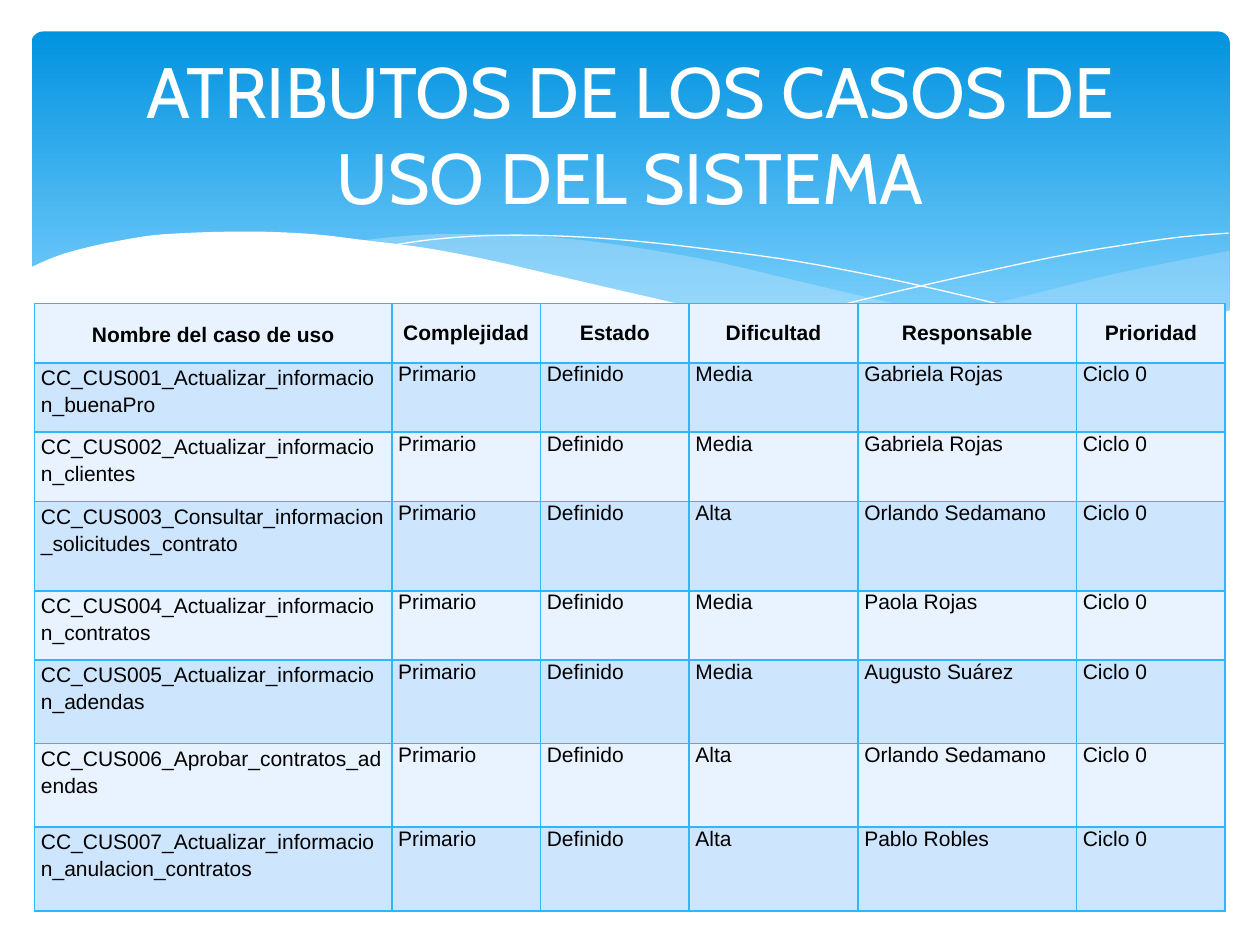
from dataclasses import dataclass

from lxml.etree import SubElement
from pptx import Presentation
from pptx.dml.color import RGBColor
from pptx.enum.shapes import MSO_SHAPE
from pptx.enum.text import MSO_ANCHOR, MSO_AUTO_SIZE, PP_ALIGN
from pptx.oxml.ns import qn
from pptx.util import Inches, Pt


@dataclass(frozen=True)
class Theme:
    sky_top: str = "0293E0"
    sky_bottom: str = "83D3FE"
    mist: str = "C6E7FC"
    white: str = "FFFFFF"
    black: str = "000000"
    border: str = "31B6FD"
    bands: tuple = ("E8F3FF", "CEE5FE")
    title_font: str = "Cabin"
    table_font: str = "Arial"
    title_size: float = 40.7
    table_size: float = 12


def smooth(points, steps=5):
    """Catmull-Rom curve through the points."""
    padded = [points[0], *points, points[-1]]
    curve = [points[0]]
    for a, b, c, d in zip(padded, padded[1:], padded[2:], padded[3:]):
        for step in range(1, steps + 1):
            t = step / steps
            curve.append(tuple(
                (2 * q + (r - p) * t + (2 * p - 5 * q + 4 * r - s) * t**2
                 + (3 * q - p - 3 * r + s) * t**3) / 2
                for p, q, r, s in zip(a, b, c, d)))
    return curve


class SlideBuilder:
    """Places elements on a grid of 100 columns by 75 rows."""

    def __init__(self, deck, theme):
        self.theme = theme
        self.cell = deck.slide_width / 100
        self.slide = deck.slides.add_slide(deck.slide_layouts[5])

    def grid(self, *lengths):
        return [round(length * self.cell) for length in lengths]

    def style_text(self, paragraph, font, size, color, bold=False):
        for run in paragraph.runs:
            run.font.name, run.font.size, run.font.bold = font, Pt(size), bold
            run.font.color.rgb = RGBColor.from_string(color)

    def sky(self, box, radius):
        panel = self.slide.shapes.add_shape(MSO_SHAPE.ROUNDED_RECTANGLE, *self.grid(*box))
        panel.adjustments[0] = radius
        panel.shadow.inherit = False
        panel.line.fill.background()
        panel.fill.gradient()
        panel.fill.gradient_angle = 270
        stops = panel.fill.gradient_stops
        for stop, color, position in zip(
                stops, (self.theme.sky_top, self.theme.sky_bottom), (0, 0.9)):
            stop.color.rgb = RGBColor.from_string(color)
            stop.position = position

    def outline(self, points, closed):
        start, *rest = [self.grid(*point) for point in points]
        builder = self.slide.shapes.build_freeform(*start)
        builder.add_line_segments(rest, close=closed)
        shape = builder.convert_to_shape()
        shape.shadow.inherit = False
        return shape

    def wave(self, points, color, opacity=100):
        wave = self.outline(points, True)
        wave.line.fill.background()
        wave.fill.solid()
        wave.fill.fore_color.rgb = RGBColor.from_string(color)
        if opacity < 100:
            color_node = wave.element.spPr.find(qn("a:solidFill"))[0]
            SubElement(color_node, qn("a:alpha"), val=str(opacity * 1000))

    def ripple(self, points):
        ripple = self.outline(smooth(points), False)
        ripple.fill.background()
        ripple.line.color.rgb = RGBColor.from_string(self.theme.white)
        ripple.line.width = 0

    def title(self, text, box):
        title = self.slide.shapes.title
        title.left, title.top, title.width, title.height = self.grid(*box)
        title.element.getparent().append(title.element)  # in front of the waves
        frame = title.text_frame
        frame.text = text
        frame.word_wrap = True
        frame.auto_size = MSO_AUTO_SIZE.NONE
        frame.vertical_anchor = MSO_ANCHOR.MIDDLE
        frame.paragraphs[0].alignment = PP_ALIGN.CENTER
        self.style_text(frame.paragraphs[0], self.theme.title_font,
                        self.theme.title_size, self.theme.white)

    def borders(self, cell):
        properties = cell._tc.get_or_add_tcPr()
        for side in ("a:lnL", "a:lnR", "a:lnT", "a:lnB"):
            line = SubElement(properties, qn(side), w=str(Pt(1)))
            SubElement(SubElement(line, qn("a:solidFill")), qn("a:srgbClr"),
                       val=self.theme.border)

    def table(self, rows, left, top, widths, heights):
        table = self.slide.shapes.add_table(
            len(rows), len(widths),
            *self.grid(left, top, sum(widths), sum(heights))).table
        table.first_row = table.horz_banding = False
        for column, width in zip(table.columns, self.grid(*widths)):
            column.width = width
        for row, height in zip(table.rows, self.grid(*heights)):
            row.height = height
        for r, values in enumerate(rows):
            for c, value in enumerate(values):
                self.table_cell(table.cell(r, c), value, r, c)

    def table_cell(self, cell, value, row, column):
        header = row == 0
        cell.margin_left = cell.margin_right = Inches(0.05)
        cell.margin_top = cell.margin_bottom = 0
        cell.vertical_anchor = MSO_ANCHOR.MIDDLE if header else MSO_ANCHOR.TOP
        self.borders(cell)
        cell.fill.solid()
        cell.fill.fore_color.rgb = RGBColor.from_string(self.theme.bands[row % 2])
        cell.text_frame.text = value
        paragraph = cell.text_frame.paragraphs[0]
        paragraph.alignment = PP_ALIGN.CENTER if header else PP_ALIGN.LEFT
        if column == 0:
            paragraph.line_spacing = 1.15
            if header:
                paragraph.space_after = Pt(10)
        self.style_text(paragraph, self.theme.table_font, self.theme.table_size,
                        self.theme.black, bold=header)


# Wave outlines, in grid columns and rows
RIGHT_MIST = (
    smooth([(97.6, 19.9), (93.5, 20.7), (89.1, 21.6), (86.1, 22.3), (80.5, 23.7),
            (75.3, 24.8), (70.6, 25.7), (66.1, 26.5)])
    + smooth([(66.1, 26.5), (70.5, 27.1), (74.5, 27.5), (78.1, 27.7), (81.4, 27.8),
              (85.4, 27.6), (88.9, 27.2), (92.1, 26.5), (94.9, 25.7), (97.6, 24.7)]))
CENTER_MIST = (
    smooth([(89.3, 27.3), (83.7, 26.5), (77.5, 25.4), (70.6, 24), (62.9, 22.2),
            (56.9, 20.8), (51.4, 19.8), (46.5, 19.1), (42, 18.7), (38, 18.6),
            (34.4, 18.6), (31.3, 18.8), (28.6, 19.1)])
    + smooth([(28.6, 19.1), (34.2, 19.9), (40.4, 21.1), (44.9, 22.2), (53, 24),
              (60.1, 25.5), (66.5, 26.6), (72.2, 27.4), (77.3, 27.7), (81.8, 27.8),
              (85.7, 27.7), (89.3, 27.3)]))
FALLING_RIPPLE = [(30.9, 19.5), (34.4, 19), (38.7, 18.7), (43.3, 18.7), (48.9, 19),
                  (55.6, 19.7), (63.6, 20.8), (72.7, 22.6), (83.1, 25.1), (90.7, 27.2)]
RISING_RIPPLE = [(61.3, 25.7), (67.2, 24.1), (74.8, 22.3), (83.6, 20.4), (89.5, 19.4),
                 (93.8, 18.8), (97.5, 18.5)]
WHITE_WAVE = smooth(
    [(97.7, 24.6), (94, 25.9), (89.9, 26.9), (85, 27.5), (80.9, 27.7), (76.1, 27.5),
     (70.8, 27), (64.7, 26.2), (57.9, 25), (50.3, 23.3), (44.7, 22), (39.1, 20.7),
     (33.9, 19.7), (29.2, 19.1), (25, 18.6), (21.1, 18.4), (17.7, 18.4), (14.6, 18.5),
     (11.9, 18.7), (9.5, 19.1), (7.5, 19.5), (5.2, 20.1), (3.6, 20.7), (2.3, 21.3)]
) + [(2.3, 32.9), (97.7, 32.9)]

HEADERS = ("Nombre del caso de uso", "Complejidad", "Estado", "Dificultad",
           "Responsable", "Prioridad")
USE_CASES = [
    ("Actualizar_informacion_buenaPro", "Media", "Gabriela Rojas"),
    ("Actualizar_informacion_clientes", "Media", "Gabriela Rojas"),
    ("Consultar_informacion_solicitudes_contrato", "Alta", "Orlando Sedamano"),
    ("Actualizar_informacion_contratos", "Media", "Paola Rojas"),
    ("Actualizar_informacion_adendas", "Media", "Augusto Suárez"),
    ("Aprobar_contratos_adendas", "Alta", "Orlando Sedamano"),
    ("Actualizar_informacion_anulacion_contratos", "Alta", "Pablo Robles"),
]


def main():
    deck = Presentation()
    deck.slide_width, deck.slide_height = Inches(10), Inches(7.5)
    theme = Theme()
    builder = SlideBuilder(deck, theme)

    # Header backdrop
    builder.sky((2.5, 2.5, 95.1, 27), 0.034)
    builder.wave(RIGHT_MIST, theme.mist, 29)
    builder.wave(CENTER_MIST, theme.mist, 40)
    builder.ripple(FALLING_RIPPLE)
    builder.ripple(RISING_RIPPLE)
    builder.wave(WHITE_WAVE, theme.white)

    builder.title("ATRIBUTOS DE LOS CASOS DE USO DEL SISTEMA", (5, 3.7, 90, 13.7))

    # Use case attributes
    rows = [HEADERS] + [
        (f"CC_CUS{number:03}_{name}", "Primario", "Definido", difficulty, owner, "Ciclo 0")
        for number, (name, difficulty, owner) in enumerate(USE_CASES, 1)]
    builder.table(rows, 2.75, 24.1, (28.35, 11.8, 11.8, 13.4, 17.35, 11.8),
                  (4.7, 5.5, 5.5, 7.1, 5.5, 6.63, 6.63, 6.63))

    deck.save("out.pptx")


if __name__ == "__main__":
    main()
